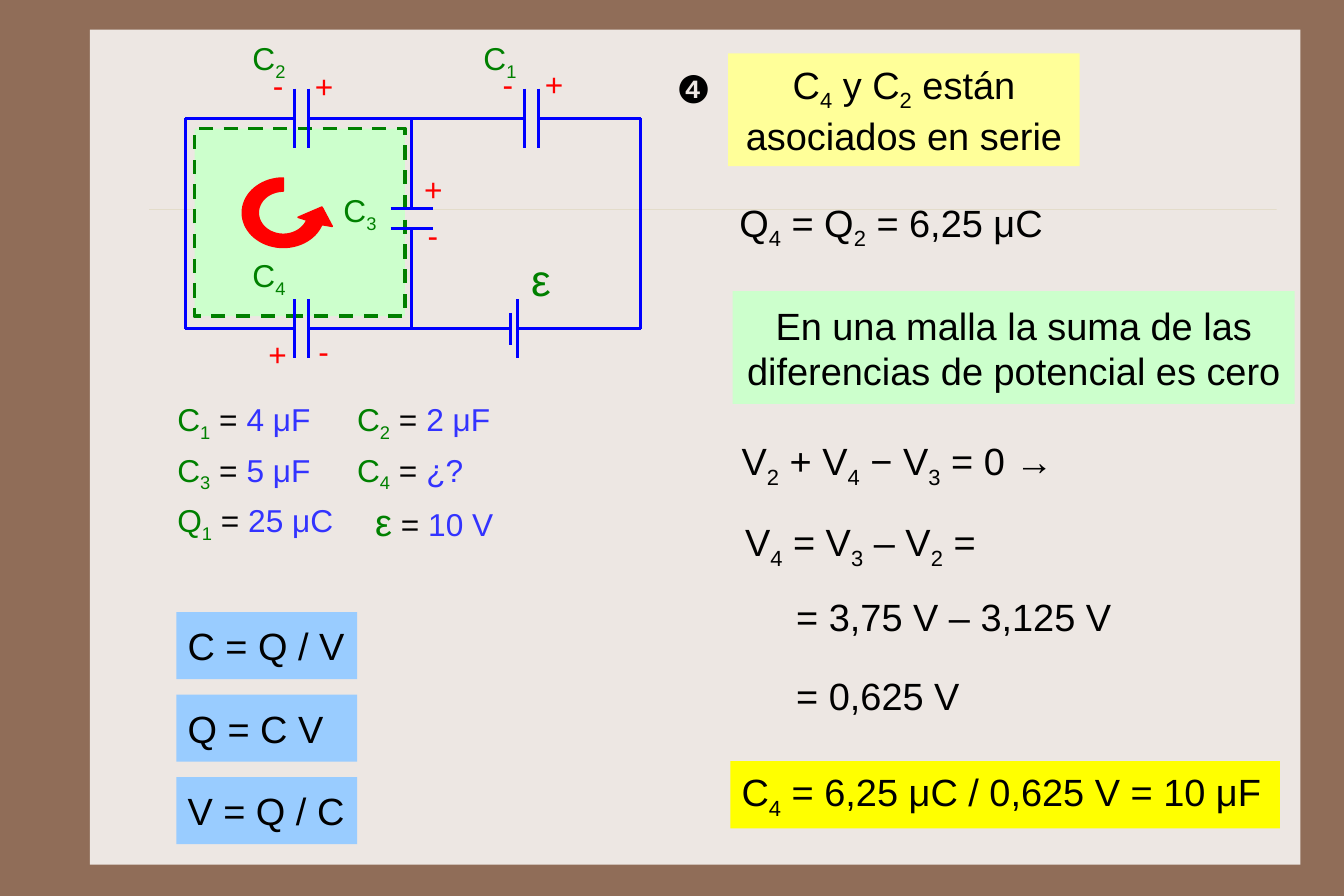
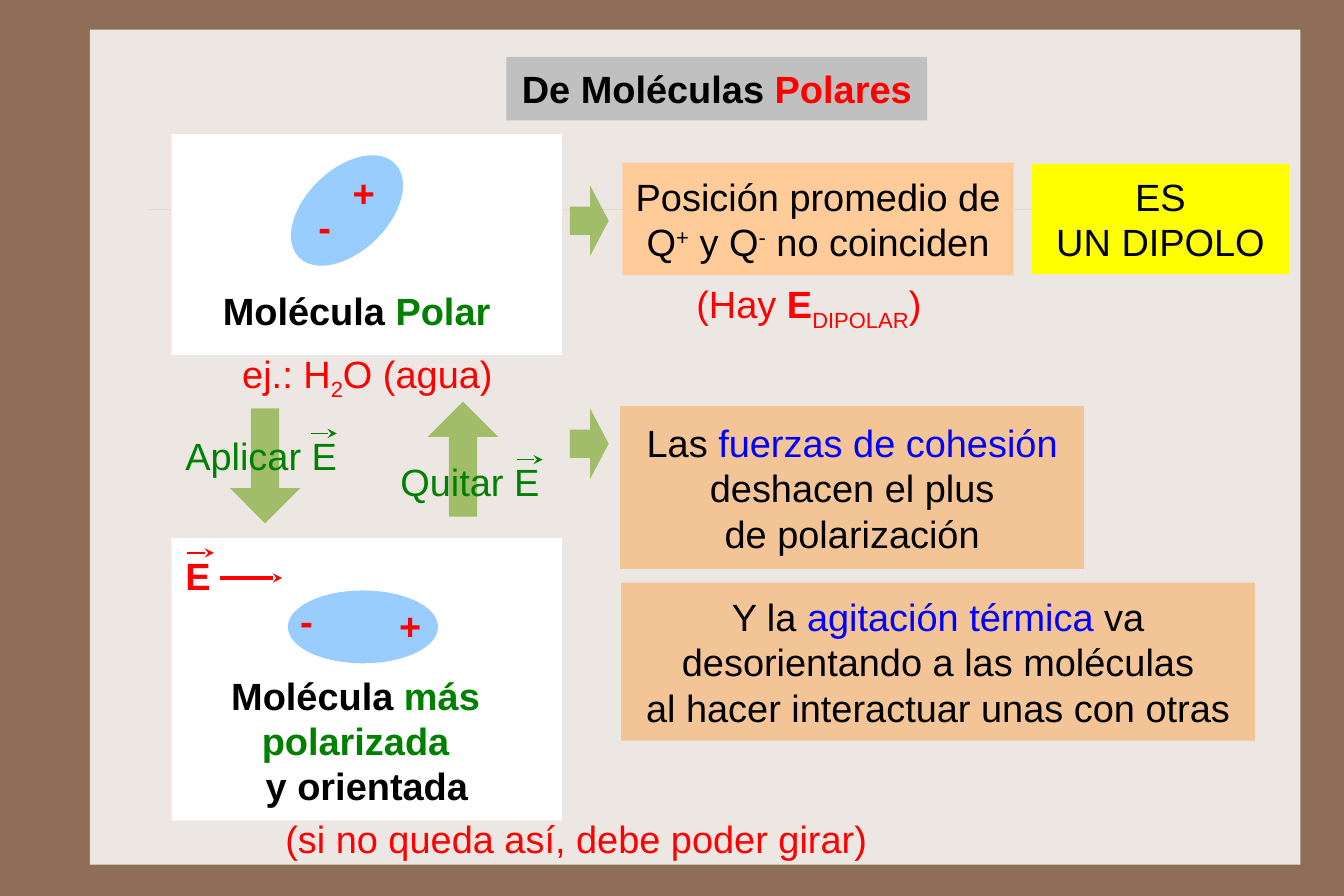
from math import cos, radians, sin

from lxml.etree import SubElement
from pptx import Presentation
from pptx.dml.color import RGBColor
from pptx.enum.dml import MSO_LINE
from pptx.enum.shapes import MSO_CONNECTOR, MSO_SHAPE
from pptx.enum.text import MSO_ANCHOR, PP_ALIGN
from pptx.oxml.ns import qn
from pptx.util import Inches, Pt

CELL = Inches(0.1)
ROWS = 78.75
COLS = ROWS * 3 / 2
FONT = "Arial"
BROWN, PANEL, RULE = "906D58", "EDE7E3", "CBBD83"
BLACK, WHITE, GRAY = "000000", "FFFFFF", "C0C0C0"
RED, GREEN, BLUE, VIOLET = "FF0000", "008000", "0000FF", "3333FF"
YELLOW, PALE_YELLOW, MINT, SKY = "FFFF00", "FFFF99", "CCFFCC", "99CCFF"
PEACH, SAND, OLIVE = "FFCC99", "F3C495", "A1BD69"
MARKS = {"_": -25000, "^": 30000}


def cells(*values):
    """Turn grid cells into lengths."""
    return [round(v * CELL) for v in values]


def rgb(value):
    """Turn a hex string into a colour."""
    return RGBColor.from_string(value)


def split_marks(text):
    """Yield (text, baseline) pieces; _x_ is a subscript and ^x^ a superscript."""
    base, piece = 0, ""
    for ch in text:
        if ch in MARKS:
            if piece:
                yield piece, base
            base, piece = (0 if base else MARKS[ch]), ""
        else:
            piece += ch
    if piece:
        yield piece, base


def write(sp, paragraphs, size=24, color=BLACK, bold=False, center=False,
          wrap=False, inset=0.9, middle=False):
    """Fill a shape with paragraphs, each a string or a list of (text, color, bold, size)."""
    tf = sp.text_frame
    tf.word_wrap = wrap
    tf.margin_left = tf.margin_right = CELL
    tf.margin_top = tf.margin_bottom = cells(inset)[0]
    tf.vertical_anchor = MSO_ANCHOR.MIDDLE if middle else MSO_ANCHOR.TOP
    defaults = ("", color, bold, size)
    for i, content in enumerate(paragraphs):
        p = tf.add_paragraph() if i else tf.paragraphs[0]
        p.alignment = PP_ALIGN.CENTER if center else PP_ALIGN.LEFT
        parts = [(content,)] if isinstance(content, str) else content
        for part in parts:
            text, tint, strong, points = part + defaults[len(part):]
            for piece, base in split_marks(text):
                r = p.add_run()
                r.text = piece
                f = r.font
                f.name, f.size, f.bold = FONT, Pt(points), strong
                f.color.rgb = rgb(tint)
                if base:
                    r._r.get_or_add_rPr().set("baseline", str(base))


def add_text(slide, x, y, w, h, *paragraphs, **style):
    """Add a text box."""
    sp = slide.shapes.add_textbox(*cells(x, y, w, h))
    write(sp, paragraphs, wrap=style.get("center", False), **style)


def add_block(slide, kind, x, y, w, h, fill, adjust=()):
    """Add a filled preset shape without outline."""
    sp = slide.shapes.add_shape(kind, *cells(x, y, w, h))
    sp.shadow.inherit = False
    sp.fill.solid()
    sp.fill.fore_color.rgb = rgb(fill)
    sp.line.fill.background()
    for i, value in enumerate(adjust):
        sp.adjustments[i] = value
    return sp


def add_card(slide, x, y, w, h, fill, *paragraphs, center=True, **style):
    """Add a filled rectangle with text."""
    sp = add_block(slide, MSO_SHAPE.RECTANGLE, x, y, w, h, fill)
    write(sp, paragraphs, center=center, wrap=True, middle=True, **style)


def add_line(slide, x1, y1, x2, y2, color=BLUE, width=2, arrow=False, alpha=100):
    """Add a straight line, with an arrowhead at its end if asked."""
    c = slide.shapes.add_connector(MSO_CONNECTOR.STRAIGHT, *cells(x1, y1, x2, y2))
    c.line.color.rgb = rgb(color)
    c.line.width = Pt(width)
    spPr = c._element.spPr
    ln = spPr.find(qn("a:ln"))
    if alpha < 100:
        SubElement(ln[0][0], qn("a:alpha"), val=str(alpha * 1000))
    if arrow:
        SubElement(ln, qn("a:tailEnd"), type="stealth")
    SubElement(spPr, qn("a:effectLst"))


def add_capacitor(slide, x, y, gap=0.6, reach=2.6, flat=False):
    """Add two parallel plates centred on a point."""
    for d in (-gap, gap):
        if flat:
            add_line(slide, x - reach, y + d, x + reach, y + d)
        else:
            add_line(slide, x + d, y - reach, x + d, y + reach)


def add_loop_arrow(slide, cx, cy):
    """Add the curved arrow that shows the sense of the mesh."""
    def arc(rx, ry, start, stop):
        step = 5 if stop > start else -5
        return [(cx + rx * cos(radians(t)), cy + ry * sin(radians(t)))
                for t in range(start, stop, step)]

    head = [(cx + 4.3, cy + 1.2), (cx + 3.4, cy - 0.5), (cx + 1.3, cy + 0.4)]
    outline = arc(3.6, 3.05, -90, -345) + head + arc(2.2, 1.9, -340, -85)
    points = [cells(*point) for point in outline]
    builder = slide.shapes.build_freeform(*points[0])
    builder.add_line_segments(points[1:], close=True)
    sp = builder.convert_to_shape()
    sp.shadow.inherit = False
    sp.fill.solid()
    sp.fill.fore_color.rgb = rgb(RED)
    sp.line.color.rgb = rgb(RED)
    sp.line.width = Pt(1)


def add_slide(prs):
    """Add a blank slide with the shared panel and rule."""
    slide = prs.slides.add_slide(prs.slide_layouts[6])
    add_block(slide, MSO_SHAPE.RECTANGLE, 7.9, 2.6, 106.4, 73.4, PANEL)
    add_line(slide, 13.1, 18.4, 112.2, 18.4, RULE, 0.25, alpha=40)
    return slide


def add_circuit(slide):
    """Draw the circuit with its labels and signs."""
    left, mid, right, top, bottom = 16.3, 36.2, 56.3, 10.4, 28.9
    cap_a, cap_b, cap_y, cell_x = 26.5, 46.7, 19.2, 45.2
    mesh = add_block(slide, MSO_SHAPE.RECTANGLE, 17.1, 11.3, 18.5, 16.5, MINT)
    mesh.line.color.rgb = rgb(GREEN)
    mesh.line.width = Pt(2.25)
    mesh.line.dash_style = MSO_LINE.DASH
    for x, y in ((cap_a, top), (cap_b, top), (cap_a, bottom)):
        add_capacitor(slide, x, y)
    add_capacitor(slide, mid, cap_y, 0.9, 1.85, True)
    add_line(slide, cell_x - 0.3, bottom - 1.4, cell_x - 0.3, bottom + 1.4)
    add_line(slide, cell_x + 0.3, bottom - 2.6, cell_x + 0.3, bottom + 2.6)
    for x1, x2, y in ((left, cap_a - 0.6, top), (cap_a + 0.6, cap_b - 0.6, top),
                      (cap_b + 0.6, right, top), (left, cap_a - 0.6, bottom),
                      (cap_a + 0.6, cell_x - 0.3, bottom),
                      (cell_x + 0.3, right, bottom)):
        add_line(slide, x1, y, x2, y)
    for x, y1, y2 in ((left, top, bottom), (right, top, bottom),
                      (mid, top, cap_y - 0.9), (mid, cap_y + 0.9, bottom)):
        add_line(slide, x, y1, x, y2)
    for x, y, number in ((21.2, 2.9, 2), (41.5, 2.9, 1), (29.2, 16.3, 3), (21.2, 22, 4)):
        add_text(slide, x, y, 5.5, 5, f"C_{number}_", size=20, color=GREEN, inset=0.5)
    add_text(slide, 45.7, 21.7, 3.7, 5, "ε", size=28, color=GREEN, inset=0.5)
    for x, y, sign in ((46.9, 4.8, "+"), (43.2, 4.8, "-"), (26.7, 5, "+"),
                       (23, 4.9, "-"), (36.3, 14, "+"), (36.6, 18.1, "-"),
                       (22.6, 28.5, "+"), (27, 28.3, "-")):
        add_text(slide, x, y, 3.6 if sign == "+" else 2.9, 5.2, sign, size=20, color=RED)
    add_loop_arrow(slide, 24.9, 18.7)


def build_circuit_slide(prs):
    """Build the slide that solves the circuit."""
    slide = add_slide(prs)
    add_circuit(slide)
    data = (("C_1_", "4 μF"), ("C_2_", "2 μF"), ("C_3_", "5 μF"),
            ("C_4_", "¿?"), ("Q_1_", "25 μC"))
    for i, (name, value) in enumerate(data):
        row, col = divmod(i, 2)
        add_text(slide, 14.6 + 15.8 * col, 34.7 + 4.4 * row, 15.9, 4.4,
                 [(name, GREEN), (" = ",), (value, VIOLET)], size=20, inset=0.5)
    add_text(slide, 32, 43.3, 14, 5.1,
             [("ε", GREEN, False, 24), (" = ",), ("10 V", VIOLET)], size=20, inset=0.5)
    for i, formula in enumerate(("C = Q / V", "Q = C V", "V = Q / C")):
        add_card(slide, 15.5, 53.8 + 7.25 * i, 15.9, 5.9, SKY, formula, center=False)
    add_text(slide, 58.5, 4.9, 5, 5.9, "❹")
    add_card(slide, 64, 4.7, 30.9, 9.9, PALE_YELLOW,
             "C_4_ y C_2_ están", "asociados en serie")
    add_card(slide, 64.4, 25.6, 49.4, 9.9, MINT,
             "En una malla la suma de las diferencias de potencial es cero")
    for x, y, w, step in ((64, 16.6, 30, "Q_4_ = Q_2_ = 6,25 μC"),
                          (64.2, 37.6, 32, "V_2_ + V_4_ − V_3_ = 0 →"),
                          (64.5, 44.7, 24, "V_4_ = V_3_ – V_2_ ="),
                          (69, 51.3, 32, "= 3,75 V – 3,125 V"),
                          (69, 58.2, 18, "= 0,625 V")):
        add_text(slide, x, y, w, 5.9, step)
    add_card(slide, 64.2, 66.9, 48.3, 5.9, YELLOW,
             "C_4_ = 6,25 μC / 0,625 V = 10 μF", center=False)


def build_molecule_slide(prs):
    """Build the slide about polar molecules."""
    slide = add_slide(prs)
    add_card(slide, 44.5, 5, 37, 5.6, GRAY, [("De Moléculas ",), ("Polares", RED)], bold=True)
    for y, h in ((11.8, 19.4), (47.3, 24.8)):
        add_block(slide, MSO_SHAPE.RECTANGLE, 15.1, y, 34.3, h, WHITE)
    tilted = add_block(slide, MSO_SHAPE.OVAL, 24.6, 14.9, 11.8, 7.2, SKY)
    tilted.rotation = 315.9
    add_block(slide, MSO_SHAPE.OVAL, 25.3, 51.9, 13.2, 6.4, SKY)
    for x, y, mark in ((30, 14, "+"), (27, 17, "-"), (34.1, 52.1, "+"),
                       (25.4, 51.6, "-"), (15.3, 47.7, "E")):
        add_text(slide, x, y, 5.2, 5.3, mark, color=RED, bold=True)
    add_text(slide, 18.6, 24.4, 25.7, 5.9, [("Molécula ",), ("Polar", GREEN)], bold=True)
    add_text(slide, 18.7, 58.2, 25.1, 9.9, [("Molécula",), (" más", GREEN)],
             [("polarizada", GREEN)], bold=True, center=True)
    add_text(slide, 15.1, 66.1, 34.3, 5.9, "y orientada", bold=True, center=True)
    add_text(slide, 20.1, 29.9, 24.4, 5.9, "ej.: H_2_O (agua)", color=RED, center=True)
    add_text(slide, 22.8, 70.8, 55.7, 5.9, "(si no queda así, debe poder girar)",
             color=RED, center=True)

    for kind, x, y in ((MSO_SHAPE.DOWN_ARROW, 20.2, 35.9), (MSO_SHAPE.UP_ARROW, 37.6, 35.3)):
        add_block(slide, kind, x, y, 6.2, 10.1, OLIVE, (0.4, 0.5))
    for y in (16.3, 35.9):
        add_block(slide, MSO_SHAPE.RIGHT_ARROW, 50.1, y, 3.4, 6.2, OLIVE, (0.4, 0.48))
    add_text(slide, 15.3, 37.1, 15.5, 5.9, "Aplicar E", color=GREEN)
    add_text(slide, 34.2, 39.4, 14.3, 5.9, "Quitar E", color=GREEN)
    for x, y, length, color, width in ((27.3, 38.1, 2.3, GREEN, 1), (45.4, 40.4, 2.3, GREEN, 1),
                                       (16.4, 48.6, 2.4, RED, 1), (19.3, 50.8, 5.5, RED, 2)):
        add_line(slide, x, y, x + length, y, color, width, arrow=True)

    add_card(slide, 54.7, 14.3, 34.4, 9.9, PEACH,
             "Posición promedio de Q^+^ y Q^-^ no coinciden")
    add_card(slide, 90.7, 14.4, 22.6, 9.7, YELLOW, "ES", "UN DIPOLO")
    add_text(slide, 58.9, 23.8, 24.4, 5.9,
             [("(Hay ",), ("E", RED, True), ("_DIPOLAR_)",)], color=RED, center=True)
    add_card(slide, 54.5, 35.7, 40.8, 14.3, SAND,
             [("Las ",), ("fuerzas de cohesión ", BLUE), ("deshacen el plus",)],
             "de polarización")
    add_card(slide, 54.6, 51.2, 55.7, 13.9, SAND,
             [("Y la ",), ("agitación térmica ", BLUE), ("va",)],
             "desorientando a las moléculas", "al hacer interactuar unas con otras")


def main():
    """Build and save the presentation."""
    prs = Presentation()
    prs.slide_width, prs.slide_height = cells(COLS, ROWS)
    fill = prs.slide_master.background.fill
    fill.solid()
    fill.fore_color.rgb = rgb(BROWN)
    build_circuit_slide(prs)
    build_molecule_slide(prs)
    prs.save("out.pptx")


if __name__ == "__main__":
    main()
